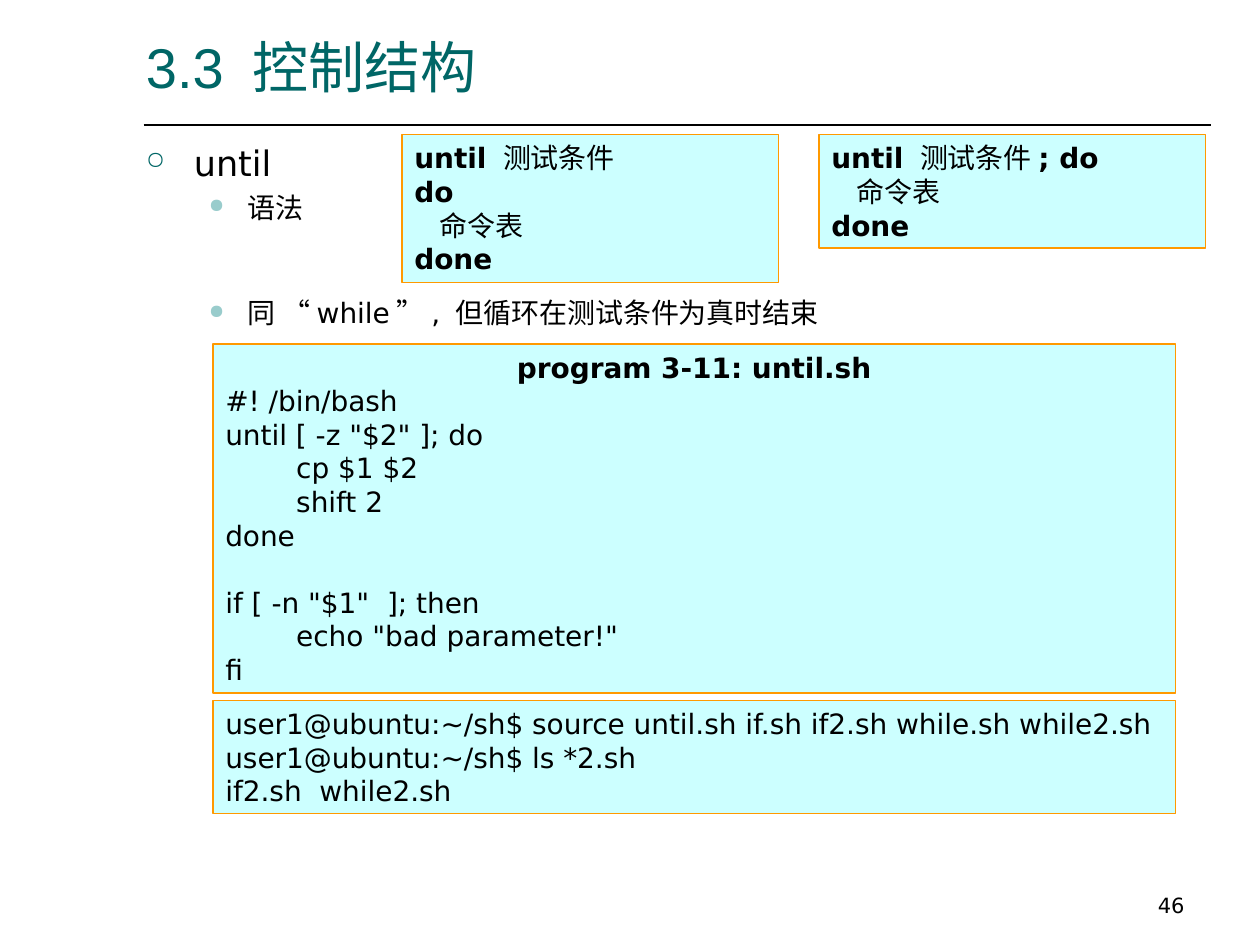
from lxml.etree import SubElement
from pptx import Presentation
from pptx.dml.color import RGBColor
from pptx.enum.shapes import MSO_CONNECTOR, MSO_SHAPE
from pptx.enum.text import MSO_ANCHOR as Anchor, PP_ALIGN as Align
from pptx.oxml.ns import qn
from pptx.util import Inches, Pt

COLORS = {"black": "000000", "teal": "006666", "mint": "99CCCC",
          "panel": "CCFFFF", "orange": "FF9900"}

# Content: a line is a string or a list of (text, bold) spans
TITLE = "3.3 控制结构"
PAGE_NUMBER = "46"
TOPIC = "until"
SYNTAX = "语法"
REMARK = "同 “while”, 但循环在测试条件为真时结束"

LONG_FORM = [
    [("until ", True), ("测试条件", False)],
    [("do", True)],
    [("    ", True), ("命令表", False)],
    [("done", True)],
]
SHORT_FORM = [
    [("until ", True), ("测试条件", False), ("; do", True)],
    [("    ", True), ("命令表", False)],
    [("done", True)],
]
PROGRAM_TITLE = "program 3-11: until.sh"
PROGRAM = """#! /bin/bash
until [ -z "$2" ]; do
        cp $1 $2
        shift 2
done

if [ -n "$1"  ]; then
        echo "bad parameter!"
fi""".split("\n")
SESSION = [
    "user1@ubuntu:~/sh$ source until.sh if.sh if2.sh while.sh while2.sh",
    "user1@ubuntu:~/sh$ ls *2.sh",
    "if2.sh  while2.sh",
]

# Bullet levels: character, colour, left margin, hanging indent
BULLETS = {0: ("○", "teal", 0.38, 0.38), 1: ("●", "mint", 0.81, 0.31)}

LEFT, TOP = 1.06, 1.07
CODE_LEFT, CODE_WIDTH = 1.69, 7.64


def rgb(name):
    return RGBColor.from_string(COLORS[name])


def add_bullet(para, level):
    char, color, margin, hang = BULLETS[level]
    props = para._p.get_or_add_pPr()
    props.set("marL", str(Inches(margin)))
    props.set("indent", str(-Inches(hang)))
    bullet_color = SubElement(props, qn("a:buClr"))
    SubElement(bullet_color, qn("a:srgbClr"), val=COLORS[color])
    SubElement(props, qn("a:buSzPct"), val="70000")
    SubElement(props, qn("a:buChar"), char=char)
    para.level = level


def write(box, line, size=16, font="DejaVu Sans", color="black", bold=False,
          align=Align.LEFT, level=None, before=0, spacing=None):
    """Add one line to a box, using its first paragraph while it is unused."""
    frame = box.text_frame
    frame.word_wrap = True
    first = frame.paragraphs[0]
    para = first if first.alignment is None else frame.add_paragraph()
    para.alignment = align
    para.space_before = Pt(before)
    if spacing:
        para.line_spacing = spacing
    if level is not None:
        add_bullet(para, level)
    para.font.size = Pt(size)
    if not line:
        para._p.get_or_add_endParaRPr().set("sz", str(size * 100))
    spans = [(line, bold)] if isinstance(line, str) else line
    for text, is_bold in spans:
        if text:
            span = para.add_run()
            span.text = text
            span.font.size = Pt(size)
            span.font.name = font
            span.font.bold = is_bold
            span.font.color.rgb = rgb(color)


def add_text_box(page, place, anchor=Anchor.TOP):
    box = page.shapes.add_textbox(*map(Inches, place))
    box.text_frame.vertical_anchor = anchor
    return box


def add_panel(page, place, lines=()):
    box = page.shapes.add_shape(MSO_SHAPE.RECTANGLE, *map(Inches, place))
    box.shadow.inherit = False
    box.fill.solid()
    box.fill.fore_color.rgb = rgb("panel")
    box.line.color.rgb = rgb("orange")
    box.line.width = Pt(0.75)
    box.text_frame.vertical_anchor = Anchor.TOP
    # Drop the preset's centring so the first line counts as unused
    box.text_frame.paragraphs[0].alignment = None
    for line in lines:
        write(box, line)
    return box


def main():
    deck = Presentation()
    deck.slide_width, deck.slide_height = Inches(10), Inches(7.5)
    page = deck.slides.add_slide(deck.slide_layouts[6])

    # Title, rule and page number
    title = add_text_box(page, (LEFT, 0.21, 8.47, 0.63), Anchor.BOTTOM)
    write(title, TITLE, size=32, font="Arial", color="teal")
    rule = page.shapes.add_connector(
        MSO_CONNECTOR.STRAIGHT, *map(Inches, (1.14, 0.99, 9.61, 0.99)))
    rule.line.color.rgb = rgb("black")
    rule.line.width = Pt(1)
    SubElement(rule._element.spPr, qn("a:effectLst"))
    number = add_text_box(page, (7.17, 6.83, 2.33, 0.5), Anchor.BOTTOM)
    write(number, PAGE_NUMBER, size=12, align=Align.RIGHT)

    # Bulleted text
    outline = add_text_box(page, (LEFT, TOP, 8.58, 0.79))
    write(outline, TOPIC, size=20, level=0)
    write(outline, SYNTAX, level=1, before=4)
    remark = add_text_box(page, (LEFT, 2.33, 8.74, 0.31))
    write(remark, REMARK, level=1, spacing=0.9)

    # Syntax panels
    add_panel(page, (3.19, TOP, 2.99, 1.17), LONG_FORM)
    add_panel(page, (6.5, TOP, 3.07, 0.9), SHORT_FORM)

    # Program and its session
    program = add_panel(page, (CODE_LEFT, 2.73, CODE_WIDTH, 2.77))
    write(program, PROGRAM_TITLE, bold=True, align=Align.CENTER)
    for line in PROGRAM:
        write(program, line)
    add_panel(page, (CODE_LEFT, 5.56, CODE_WIDTH, 0.9), SESSION)

    deck.save("out.pptx")


if __name__ == "__main__":
    main()
